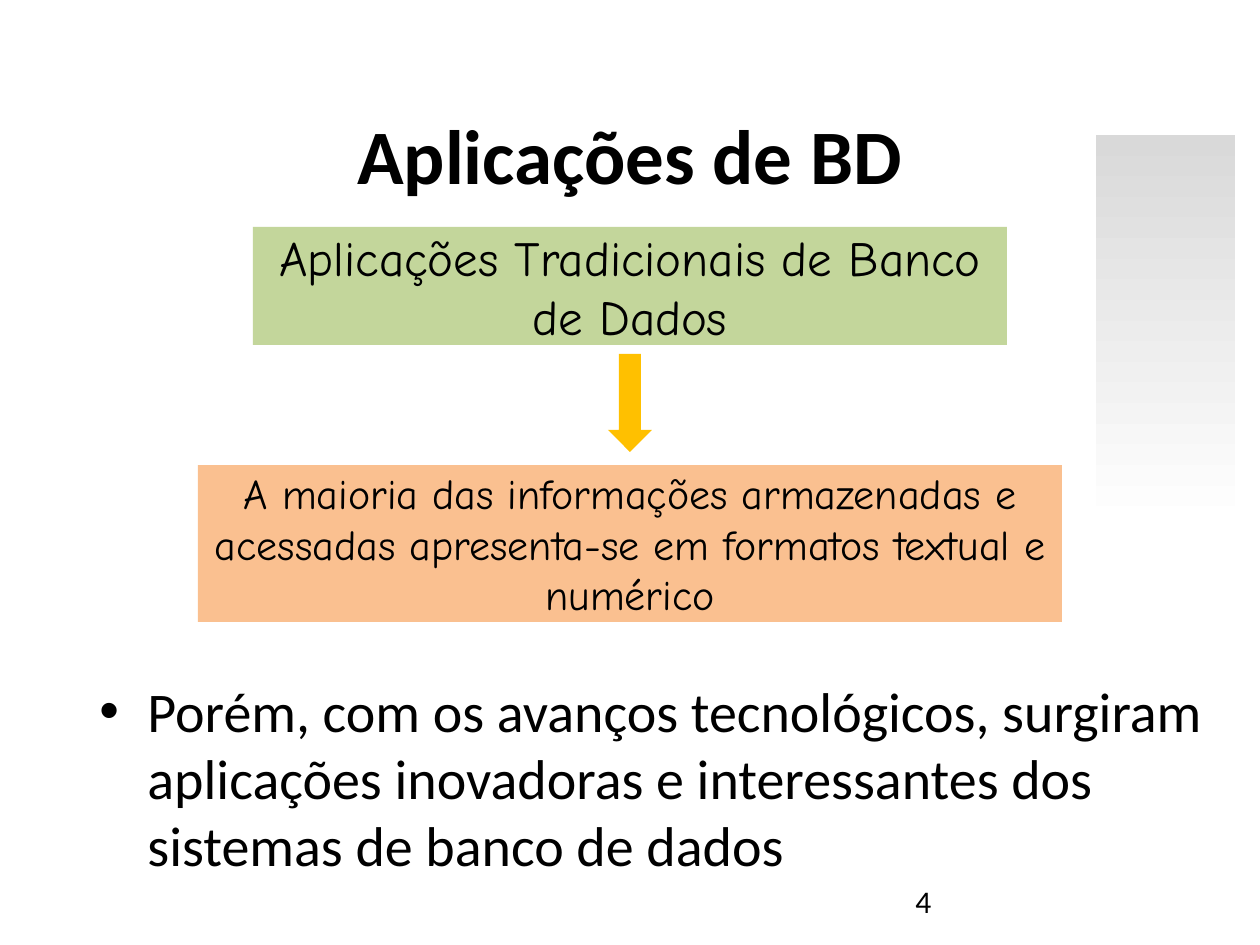
from lxml import etree
from pptx import Presentation, util as u
from pptx.dml.color import RGBColor
from pptx.enum import shapes, text
from pptx.oxml.ns import qn

PX = 914400 // 126
KIND = shapes.MSO_SHAPE
MID, TOP = text.MSO_ANCHOR.MIDDLE, text.MSO_ANCHOR.TOP
LEFT, CENTER = text.PP_ALIGN.LEFT, text.PP_ALIGN.CENTER

# Content: boxes as left, top, width, height in pixels
BAND = (1096, 135, 139, 784)
ARROW = (608, 354, 44, 98)
PANELS = [
    ("Aplicações Tradicionais de Banco de Dados", (253, 227, 754, 118), "C3D69B", 28),
    ("A maioria das informações armazenadas e acessadas apresenta-se em "
     "formatos textual e numérico", (198, 465, 864, 157), "FAC090", 24),
]
TITLE = ("Aplicações de BD", (63, 101, 1134, 153))
NUMBER = ("4", (903, 876, 294, 50))
BODY = ("Porém, com os avanços tecnológicos, surgiram aplicações inovadoras e "
        "interessantes dos sistemas de banco de dados", (87, 670, 1147, 256))
INDENT = 48

deck = Presentation()
deck.slide_width, deck.slide_height = u.Inches(10), u.Inches(7.5)
slide = deck.slides.add_slide(deck.slide_layouts[6])


def color(code):
    return RGBColor.from_string(code)


def emu(box):
    return [n * PX for n in box]


def shape(kind, box, fill=None):
    item = slide.shapes.add_shape(kind, *emu(box))
    item.shadow.inherit = False
    item.line.fill.background()
    if fill:
        item.fill.solid()
        item.fill.fore_color.rgb = color(fill)
    return item


def write(item, words, size, font="Calibri", align=LEFT, anchor=TOP, bold=False):
    frame = item.text_frame
    frame.word_wrap = True
    frame.vertical_anchor = anchor
    para = frame.paragraphs[0]
    para.alignment = align
    run = para.add_run()
    run.text = words
    run.font.size, run.font.name, run.font.bold = u.Pt(size), font, bold
    run.font.color.rgb = color("000000")
    return para


def label(words, box, size, **style):
    return write(slide.shapes.add_textbox(*emu(box)), words, size, **style)


# Side band fading to white halfway down
band = shape(KIND.RECTANGLE, BAND)
band.fill.gradient()
band.fill.gradient_angle = 270
for stop, (code, place) in zip(band.fill.gradient_stops, [("D9D9D9", 0), ("FFFFFF", 0.5)]):
    stop.color.rgb = color(code)
    stop.position = place

# Title, page number and bullet
label(*TITLE, 44, align=CENTER, bold=True)
label(*NUMBER, 18)
props = label(*BODY, 32)._p.get_or_add_pPr()
props.set("marL", str(INDENT * PX))
props.set("indent", str(-INDENT * PX))
etree.SubElement(props, qn("a:buFont")).set("typeface", "Arial")
etree.SubElement(props, qn("a:buChar")).set("char", "•")

# Panels joined by the arrow
for words, box, fill, size in PANELS:
    write(shape(KIND.RECTANGLE, box, fill), words, size, "Comic Neue", CENTER, MID)
shape(KIND.DOWN_ARROW, ARROW, "FFC000")

deck.save("out.pptx")
